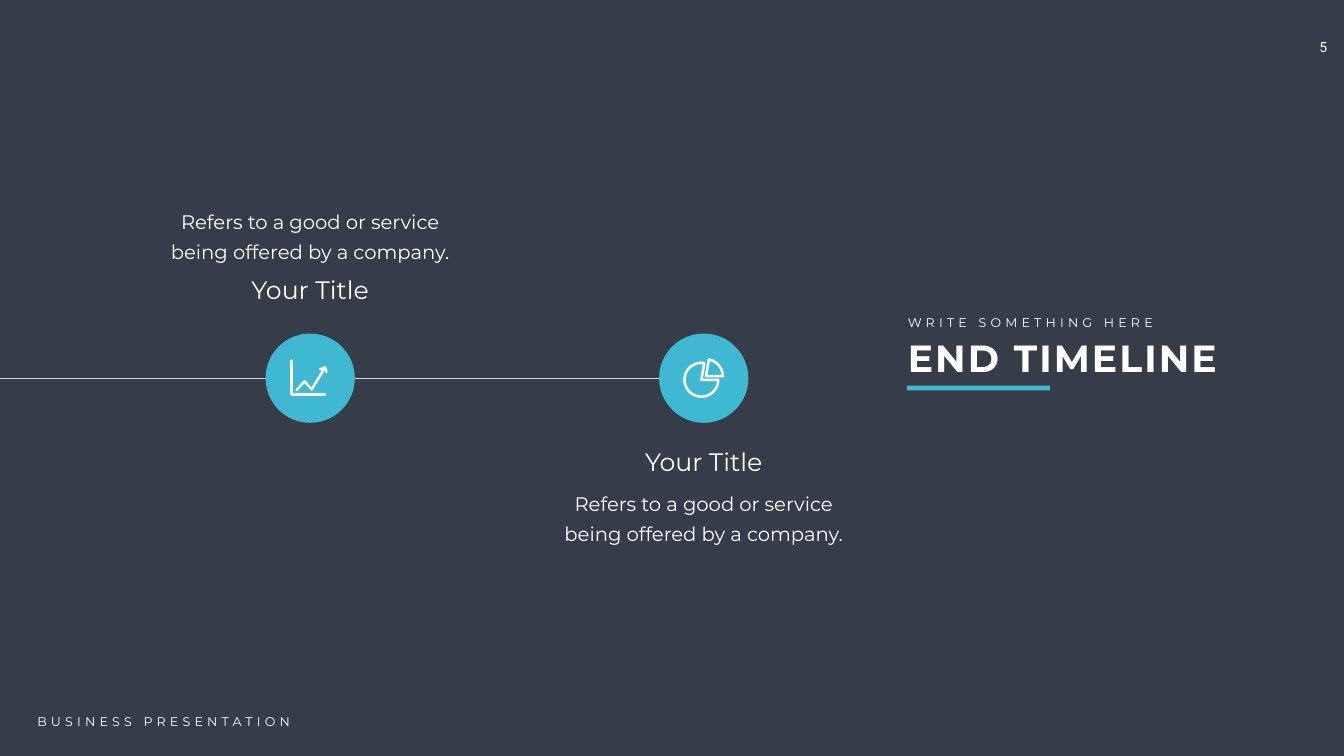
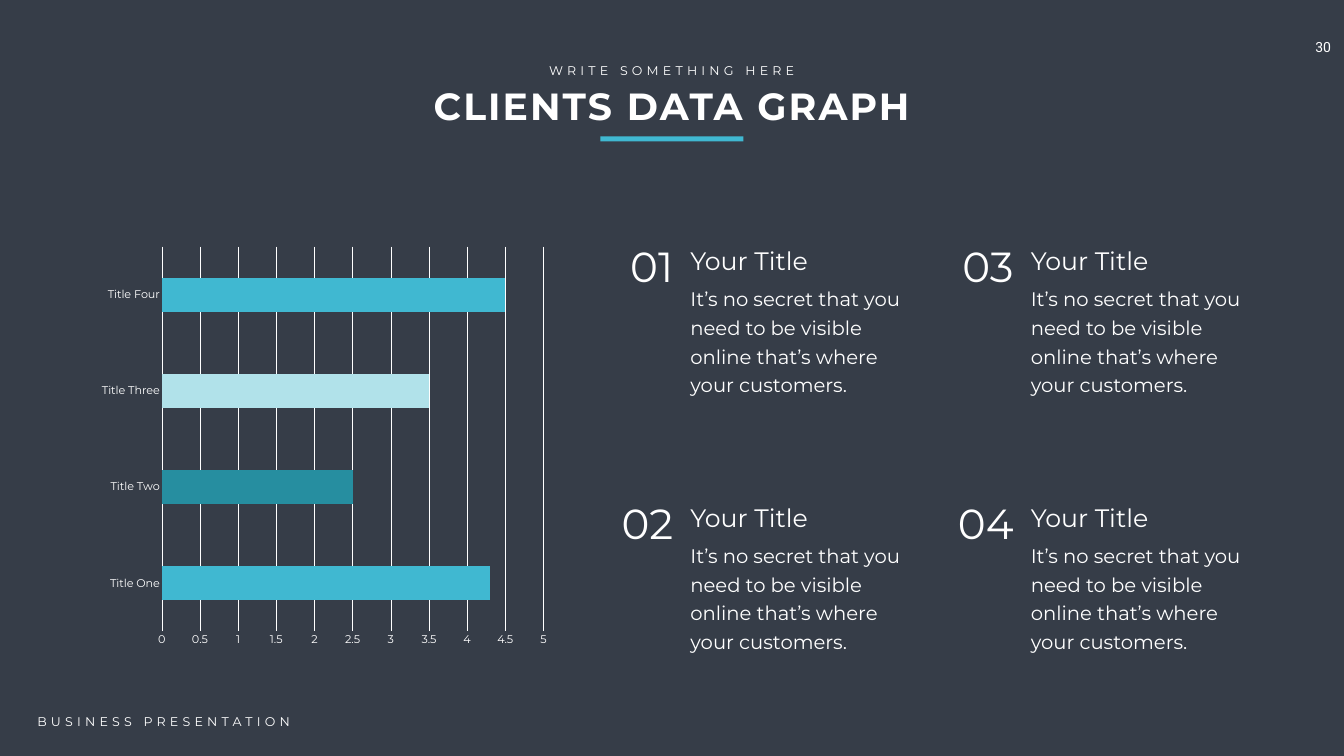
"""Build a timeline end slide and a client data slide."""
from math import cos, radians, sin

from lxml.etree import SubElement
from pptx import Presentation
from pptx.chart.data import CategoryChartData
from pptx.dml.color import RGBColor
from pptx.enum.chart import XL_CHART_TYPE, XL_TICK_MARK
from pptx.enum.shapes import MSO_CONNECTOR, MSO_SHAPE
from pptx.enum.text import MSO_ANCHOR, MSO_AUTO_SIZE, PP_ALIGN
from pptx.oxml.ns import qn
from pptx.util import Cm, Pt

DARK, TEAL, DEEP, PALE = "363D48", "40B8D1", "268EA0", "B1E2EA"
WHITE, GREY = "FFFFFF", "D9D9D9"
LEFT, MID, RIGHT = PP_ALIGN.LEFT, PP_ALIGN.CENTER, PP_ALIGN.RIGHT
SANS = "Montserrat"

LOOKS = {
    "title": {"name": SANS, "size": Pt(54), "bold": True},
    "label": {"name": SANS, "size": Pt(18)},
    "page": {"name": "Roboto", "size": Pt(20)},
    "head": {"name": SANS, "size": Pt(36)},
    "body": {"name": SANS, "size": Pt(28)},
    "count": {"name": SANS, "size": Pt(60)},
}
SPREAD = {"title": "300", "label": "600"}


def ink(item, code):
    """Give a fill, line or font a colour."""
    if hasattr(item, "solid"):
        item.solid()
        item.fore_color.rgb = RGBColor.from_string(code)
    else:
        item.color.rgb = RGBColor.from_string(code)


def write(slide, place, words, look, align=LEFT, lead=None, pad=(0.25, 0.13), box=None):
    """Set words in a new text box or in the given one."""
    box = box or slide.shapes.add_textbox(0, 0, 0, 0)
    for key, value in zip(("left", "top", "width", "height"), place):
        setattr(box, key, Cm(value))
    frame = box.text_frame
    form = {
        "word_wrap": True, "vertical_anchor": MSO_ANCHOR.TOP,
        "auto_size": MSO_AUTO_SIZE.SHAPE_TO_FIT_TEXT,
        "margin_left": Cm(pad[0]), "margin_right": Cm(pad[0]),
        "margin_top": Cm(pad[1]), "margin_bottom": Cm(pad[1]),
    }
    for key, value in form.items():
        setattr(frame, key, value)
    para = frame.paragraphs[0]
    para.alignment = align
    if lead:
        para.line_spacing = Pt(lead)
    run = para.add_run()
    run.text = words
    for key, value in LOOKS[look].items():
        setattr(run.font, key, value)
    ink(run.font, WHITE)
    if look in SPREAD:
        for style in box.element.iter(qn("a:rPr")):
            style.set("spc", SPREAD[look])


deck = Presentation()
deck.slide_width, deck.slide_height = Cm(67.72), Cm(38.1)
ink(deck.slide_master.background.fill, DARK)

slides = []
for page, title, left, top, width, align, bar in (
    ("5", "END TIMELINE", 45.49, 16.76, 17.7, LEFT, (45.69, 19.43)),
    ("30", "CLIENTS DATA GRAPH", 18.52, 4.04, 30.66, MID, (30.25, 6.88)),
):
    slide = deck.slides.add_slide(deck.slide_layouts[5])
    slides.append(slide)
    write(slide, (left, top, width, 2.57), title, "title", align, box=slide.shapes.title)
    write(slide, (left, top - 1.02, width, 1.02), "WRITE SOMETHING HERE", "label", align)
    write(slide, (65.52, 1.7, 2.31, 1.37), page, "page", MID, pad=(0.51, 0.25))
    write(slide, (1.63, 35.86, 15.37, 1.02), "BUSINESS PRESENTATION", "label")
    rule = slide.shapes.add_shape(
        MSO_SHAPE.RECTANGLE, Cm(bar[0]), Cm(bar[1]), Cm(7.21), Cm(0.25))
    ink(rule.fill, TEAL)
    rule.line.fill.background()
    rule.shadow.inherit = False

slide, graph = slides
axis = slide.shapes.add_connector(
    MSO_CONNECTOR.STRAIGHT, Cm(35.59), Cm(19.05), 0, Cm(19.05))
ink(axis.line, GREY)
axis.line.width = Pt(0.5)
SubElement(axis.element.spPr, qn("a:effectLst"))

for x, low, high in ((15.63, 9.96, 13.72), (35.46, 24.16, 22.35)):
    disc = slide.shapes.add_shape(
        MSO_SHAPE.OVAL, Cm(x - 2.25), Cm(16.81), Cm(4.5), Cm(4.5))
    ink(disc.fill, TEAL)
    disc.line.fill.background()
    disc.shadow.inherit = False
    write(slide, (x - 7.75, low, 15.49, 3.53),
          "Refers to a good or service being offered by a company.",
          "body", MID, 43, (0.61, 0.3))
    write(slide, (x - 6.11, high, 12.22, 1.8), "Your Title", "head", MID)

strokes = [
    ([(14.69, 18.17), (14.69, 19.88), (16.37, 19.88)], False),
    ([(14.94, 19.66), (15.35, 19.22), (15.7, 19.63), (16.38, 18.52)], False),
    ([(16.13, 18.61), (16.38, 18.52), (16.45, 18.76)], False),
]
for x, y, start, stop in ((35.34, 19.14, 0, 280), (35.57, 18.96, 280, 360)):
    arc = [(x + 0.85 * cos(radians(turn)), y + 0.85 * sin(radians(turn)))
           for turn in range(start, stop + 1, 5)]
    strokes.append(([(x, y)] + arc, True))
for dots, shut in strokes:
    dots = [(Cm(x), Cm(y)) for x, y in dots]
    pen = slide.shapes.build_freeform(*dots[0])
    pen.add_line_segments(dots[1:], close=shut)
    mark = pen.convert_to_shape()
    mark.fill.background()
    ink(mark.line, WHITE)
    mark.line.width = Pt(3.6)
    mark.shadow.inherit = False
    stroke = mark.element.spPr.find(qn("a:ln"))
    stroke.set("cap", "rnd")
    SubElement(stroke, qn("a:round"))

data = CategoryChartData()
data.categories = ["Title One", "Title Two", "Title Three", "Title Four"]
data.add_series("Series 1", (4.3, 2.5, 3.5, 4.5))
chart = graph.shapes.add_chart(
    XL_CHART_TYPE.BAR_CLUSTERED, Cm(4.67), Cm(12.01), Cm(23.34), Cm(20.98), data).chart
chart.has_legend = chart.has_title = False
cats, vals = chart.category_axis, chart.value_axis
for item in (chart, cats.tick_labels, vals.tick_labels):
    item.font.name, item.font.size = SANS, Pt(16)
    ink(item.font, WHITE)
for item in (cats, vals):
    item.major_tick_mark = item.minor_tick_mark = XL_TICK_MARK.NONE
for line in (cats.format.line, vals.major_gridlines.format.line):
    ink(line, WHITE)
    line.width = Pt(0.75)
vals.format.line.fill.background()
vals.minimum_scale, vals.maximum_scale, vals.major_unit = 0, 5, 0.5
plot = chart.plots[0]
plot.gap_width, plot.vary_by_categories = 182, False
bars = plot.series[0]
ink(bars.format.fill, TEAL)
for spot, code in ((1, DEEP), (2, PALE)):
    ink(bars.points[spot].format.fill, code)

for step in range(4):
    x, y = 30.33 + step // 2 * 17.15, 12.01 + step % 2 * 12.93
    write(graph, (x, y, 3.84, 2.82), f"0{step + 1}", "count", RIGHT)
    write(graph, (x + 4.21, y + 0.23, 6.81, 1.8), "Your Title", "head")
    write(graph, (x + 4.21, y + 2.09, 11.35, 5.97),
          "It’s no secret that you need to be visible online that’s where your customers.",
          "body", lead=40.8)

deck.save("out.pptx")
